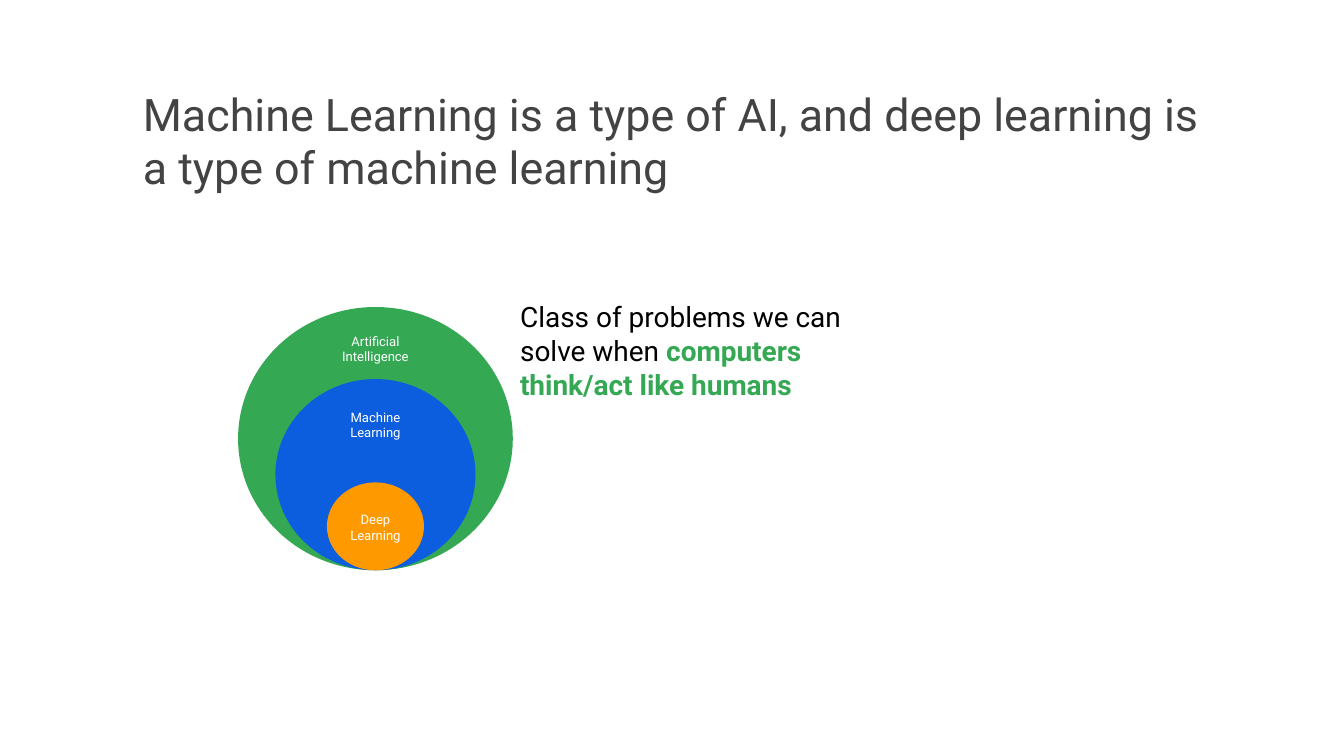
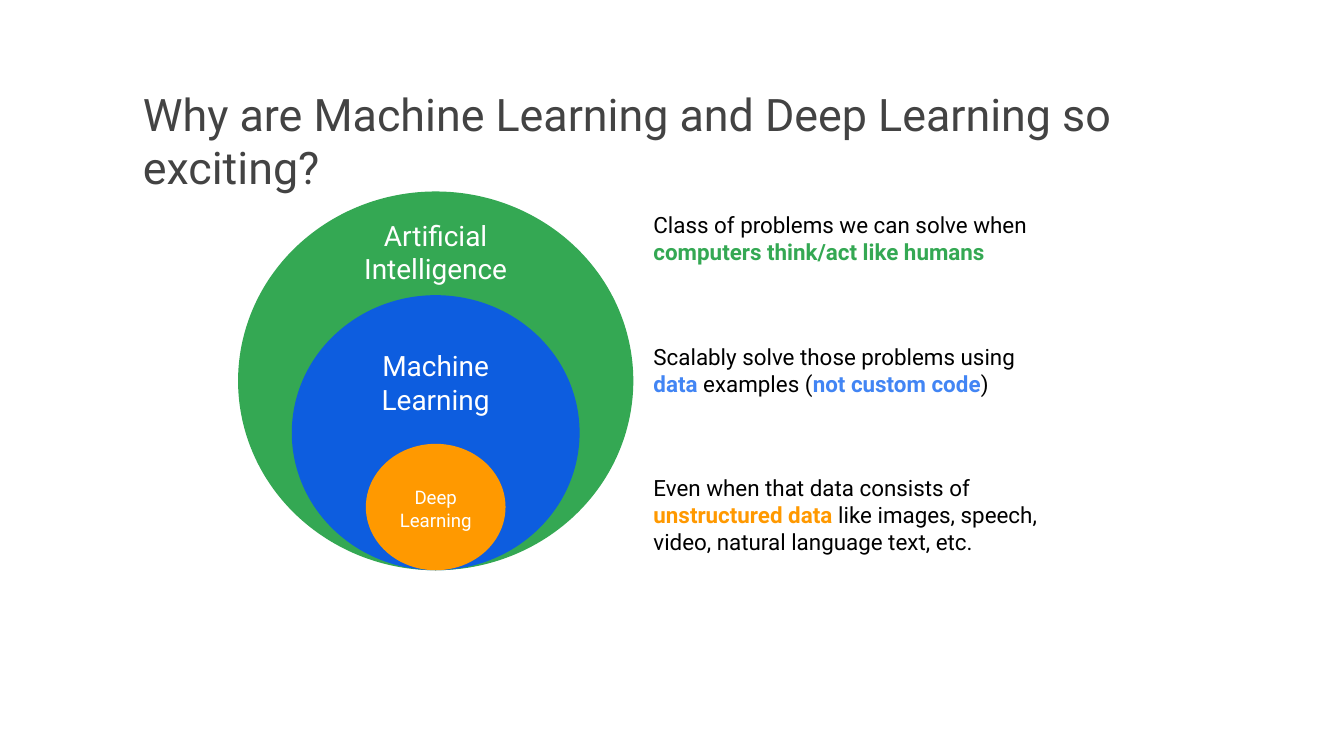
from pptx import Presentation
from pptx.dml.color import RGBColor
from pptx.enum.shapes import MSO_SHAPE
from pptx.enum.text import MSO_ANCHOR as Anchor, MSO_AUTO_SIZE as Fit, PP_ALIGN as Align
from pptx.util import Cm, Pt

FONT = "Roboto"
GREY = RGBColor(0x43, 0x43, 0x43)
BLACK = RGBColor(0, 0, 0)
WHITE = RGBColor(0xFF, 0xFF, 0xFF)
GREEN = RGBColor(0x34, 0xA8, 0x53)
NAVY = RGBColor(0x0D, 0x5D, 0xDF)
BLUE = RGBColor(0x42, 0x85, 0xF4)
AMBER = RGBColor(0xFF, 0x99, 0x00)

LEFT, BASE = 4.5, 10.78
WIDTH = 7.47
# name, fill, ring size, label size, label rise above base, label filled
RINGS = [
    ("Artificial Intelligence", GREEN, (7.47, 7.16), (3.66, 1.24), 6.64, True),
    ("Machine Learning", NAVY, (5.44, 5.2), (3.43, 1.19), 4.15, False),
    ("Deep Learning", AMBER, (2.64, 2.39), (2.21, 1.04), 1.69, True),
]
CLASS = [("Class of problems we can solve when ", None),
         ("computers think/act like humans", GREEN)]
NOTES = [
    CLASS,
    [("Scalably solve those problems using ", None), ("data", BLUE),
     (" examples (", None), ("not custom code", BLUE), (")", None)],
    [("Even when that data consists of ", None), ("unstructured data", AMBER),
     (" like images, speech, video, natural language text, etc.", None)],
]


def write(shape, runs, size=12, color=BLACK, align=Align.LEFT,
          anchor=Anchor.TOP, inset=0.13):
    frame = shape.text_frame
    frame.word_wrap = True
    frame.auto_size = Fit.NONE
    frame.vertical_anchor = anchor
    frame.margin_left = frame.margin_right = Cm(inset)
    frame.margin_top = frame.margin_bottom = Cm(inset)
    para = frame.paragraphs[0]
    para.alignment = align
    for text, accent in runs:
        run = para.add_run()
        run.text = text
        run.font.name = FONT
        run.font.size = Pt(size)
        run.font.bold = accent is not None
        run.font.color.rgb = accent or color


def add_page(deck, text):
    slide = deck.slides.add_slide(deck.slide_layouts[5])
    title = slide.shapes.title
    title.left, title.top = Cm(2.57), Cm(1.5)
    title.width, title.height = Cm(20.3), Cm(1.5)
    write(title, [(text, None)], size=24, color=GREY)
    return slide


def add_solid(shapes, kind, box, fill):
    shape = shapes.add_shape(kind, *box)
    shape.shadow.inherit = False
    shape.fill.solid()
    shape.fill.fore_color.rgb = fill
    shape.line.fill.background()
    return shape


def add_rings(slide, scale, sizes, lift=0):
    mid = LEFT + WIDTH * scale / 2

    def place(dims, rise):
        wide, high = (side * scale for side in dims)
        return Cm(mid - wide / 2), Cm(BASE - rise * scale), Cm(wide), Cm(high)

    for (name, fill, ring, tag, rise, solid), size in zip(RINGS, sizes):
        group = slide.shapes.add_group_shape().shapes
        add_solid(group, MSO_SHAPE.OVAL, place(ring, ring[1]), fill)
        if solid:
            label = add_solid(group, MSO_SHAPE.RECTANGLE, place(tag, rise), fill)
        else:
            label = group.add_textbox(*place(tag, rise + lift))
        write(label, [(name, None)], size=size, color=WHITE,
              align=Align.CENTER, anchor=Anchor.MIDDLE, inset=0.25)


def add_note(slide, runs, left, top, width, height, size=12):
    box = slide.shapes.add_textbox(Cm(left), Cm(top), Cm(width), Cm(height))
    write(box, runs, size=size)


def main():
    deck = Presentation()
    deck.slide_width, deck.slide_height = Cm(25.4), Cm(14.29)

    slide = add_page(deck, "Machine Learning is a type of AI, and deep "
                           "learning is a type of machine learning")
    add_rings(slide, 0.695, (7, 7, 7), lift=0.4)
    add_note(slide, CLASS, 9.7, 5.54, 7.62, 1, size=15)

    slide = add_page(deck, "Why are Machine Learning and Deep Learning so exciting?")
    add_rings(slide, 1, (15, 15, 10))
    for row, runs in enumerate(NOTES):
        add_note(slide, runs, 12.22, 3.86 + 2.49 * row, 7.98, 1.5)

    deck.save("out.pptx")


if __name__ == "__main__":
    main()
